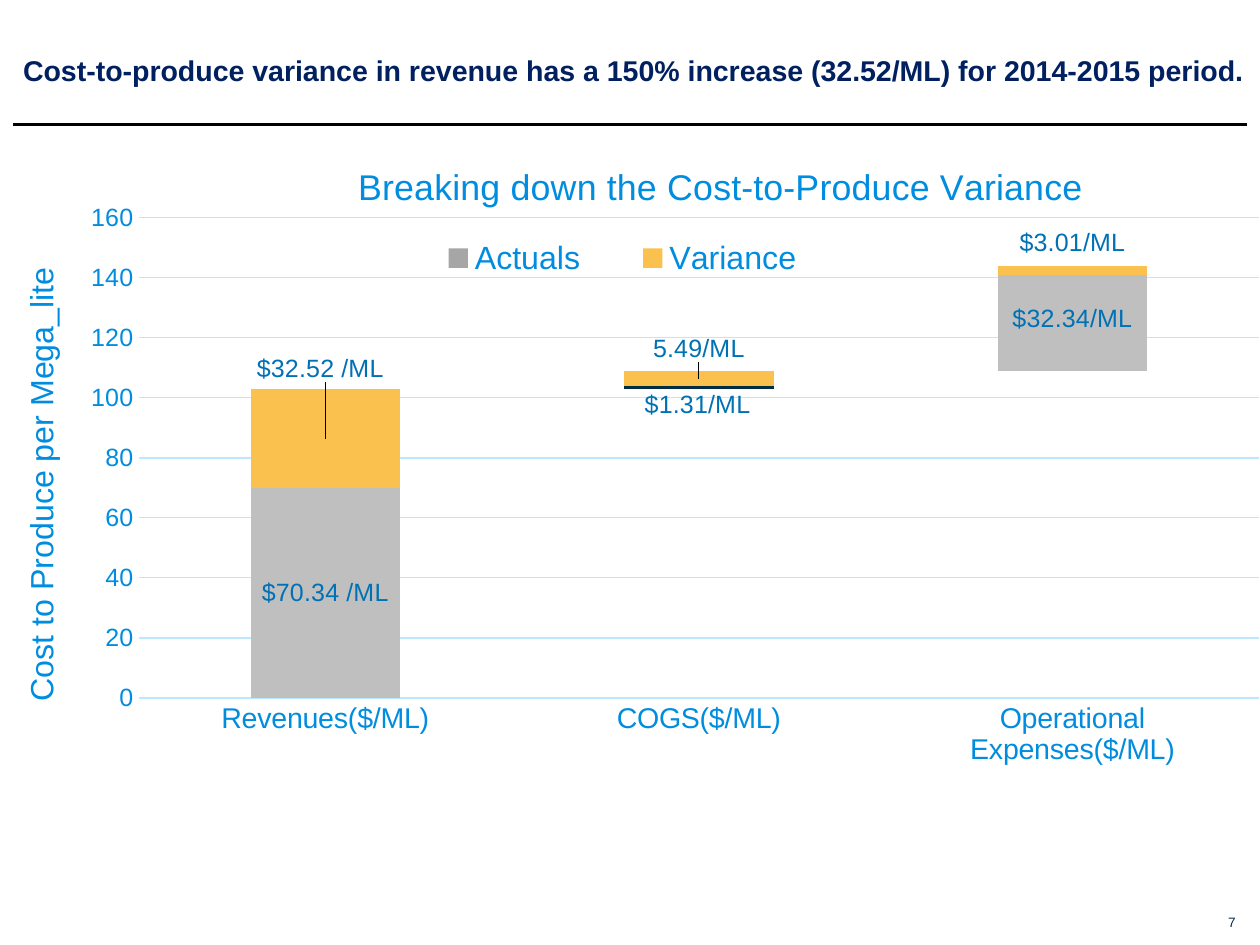
import dataclasses

import lxml.etree
import pptx
import pptx.chart.data
import pptx.dml.color
import pptx.enum.chart
import pptx.enum.shapes
import pptx.enum.text
import pptx.oxml.ns
import pptx.util

Inches = pptx.util.Inches
qn = pptx.oxml.ns.qn


@dataclasses.dataclass(frozen=True)
class Theme:
    font: str = "Arial"
    headline: str = "002060"
    ink: str = "002C46"
    axis: str = "008DE0"
    grid: str = "BDE6FF"
    label: str = "0071B4"
    rule: str = "000000"
    actual: str = "BFBFBF"
    legend_actual: str = "A6A6A6"
    variance: str = "FBC14E"
    hidden_bar: str = "FFFFFF"
    headline_size: float = 16
    chart_title_size: float = 20
    legend_size: float = 18
    category_size: float = 16
    label_size: float = 14
    base_size: float = 10
    page_size: float = 7.6


THEME = Theme()
HIDDEN = None

CATEGORIES = ["Revenues($/ML)", "COGS($/ML)", "Operational Expenses($/ML)"]

# name, values, colour, point fills,
# labels as {point: (text, x shift, y shift)} with shifts in percent of the chart
SERIES = [
    ("Actuals", (70, 70, 70), THEME.legend_actual,
     {0: THEME.actual, 1: HIDDEN, 2: HIDDEN}, {0: ("$70.34 /ML", 0, 0)}),
    ("Variance", (33, 33, 33), THEME.variance,
     {1: HIDDEN, 2: HIDDEN}, {0: ("$32.52 /ML", -0.4, -10.6)}),
    ("Series 3", (None, 1, 1), THEME.ink,
     {2: HIDDEN}, {1: ("$1.31/ML", -0.1, 2.6)}),
    ("Series 4", (None, 5, 5), THEME.variance,
     {2: THEME.hidden_bar}, {1: ("5.49/ML", 0, -4.5)}),
    ("Series 5", (None, None, 32), THEME.actual,
     {}, {2: ("$32.34/ML", 0, -0.6)}),
    ("Series 6", (None, None, 3), THEME.variance,
     {}, {2: ("$3.01/ML", 0, -4.1)}),
]


def rgb(color):
    return pptx.dml.color.RGBColor.from_string(color)


def style_font(font, size, color, bold=False):
    font.name = THEME.font
    font.size = pptx.util.Pt(size)
    font.bold = bold
    font.color.rgb = rgb(color)


def write(frame, text, size, color, bold=False, align=None):
    """Put formatted text in the first paragraph of a text frame."""
    paragraph = frame.paragraphs[0]
    paragraph.alignment = align
    run = paragraph.add_run()
    run.text = text
    style_font(run.font, size, color, bold)


def paint(fill, color):
    if color is HIDDEN:
        fill.background()
    else:
        fill.solid()
        fill.fore_color.rgb = rgb(color)


def place(element, after=None, modes=None, **percents):
    """Lay out a chart part, in percent of the chart, following the child after."""
    for old in element.findall(qn("c:layout")):
        element.remove(old)
    index = 0 if after is None else element.index(element.find(qn(after))) + 1
    layout = lxml.etree.Element(qn("c:layout"))
    manual = lxml.etree.SubElement(layout, qn("c:manualLayout"))
    fractions = {name: round(value / 100, 4) for name, value in percents.items()}
    for name, value in {**(modes or {}), **fractions}.items():
        lxml.etree.SubElement(manual, qn("c:" + name)).set("val", str(value))
    element.insert(index, layout)


FROM_EDGE = {"xMode": "edge", "yMode": "edge"}


class VarianceSlide:
    def __init__(self, presentation, theme):
        self.theme = theme
        self.slide = presentation.slides.add_slide(presentation.slide_layouts[6])

    def text(self, text, left, top, width, height, **style):
        box = self.slide.shapes.add_textbox(
            Inches(left), Inches(top), Inches(width), Inches(height))
        frame = box.text_frame
        frame.margin_left = frame.margin_right = 0
        frame.margin_top = frame.margin_bottom = 0
        frame.word_wrap = True
        write(frame, text, **style)

    def rule(self, left, right, y, width):
        line = self.slide.shapes.add_connector(
            pptx.enum.shapes.MSO_CONNECTOR.STRAIGHT,
            Inches(left), Inches(y), Inches(right), Inches(y))
        line.line.color.rgb = rgb(self.theme.rule)
        line.line.width = pptx.util.Pt(width)
        lxml.etree.SubElement(line._element.spPr, qn("a:effectLst"))

    def chart(self, left, top, width, height):
        table = pptx.chart.data.CategoryChartData()
        table.categories = CATEGORIES
        for name, values, *_ in SERIES:
            table.add_series(name, values)
        chart = self.slide.shapes.add_chart(
            pptx.enum.chart.XL_CHART_TYPE.COLUMN_STACKED,
            Inches(left), Inches(top), Inches(width), Inches(height), table).chart
        style_font(chart.font, self.theme.base_size, self.theme.ink)
        plot = chart.plots[0]
        plot.gap_width, plot.overlap = 150, 100
        plot.vary_by_categories = False
        place(chart._chartSpace.chart.plotArea,
              modes={"layoutTarget": "inner", **FROM_EDGE},
              x=10, y=11.4, w=90, h=72.8)
        for bars, (_, _, color, fills, labels) in zip(plot.series, SERIES):
            self.bars(bars, color, fills, labels)
        self.titles(chart)
        self.axes(chart)
        self.legend(chart)

    def bars(self, bars, color, fills, labels):
        paint(bars.format.fill, color)
        bars.invert_if_negative = False
        for index, fill in fills.items():
            paint(bars.points[index].format.fill, fill)
        for index, (text, dx, dy) in labels.items():
            label = bars.points[index].data_label
            write(label.text_frame, text, self.theme.label_size, self.theme.label)
            label.position = pptx.enum.chart.XL_LABEL_POSITION.CENTER
            if dx or dy:
                place(label._get_or_add_dLbl(), after="c:idx", x=dx, y=dy)

    def titles(self, chart):
        heading = chart.chart_title
        write(heading.text_frame, "Breaking down the Cost-to-Produce Variance",
              self.theme.chart_title_size, self.theme.axis)
        place(heading._element, after="c:tx", modes=FROM_EDGE, x=27.1, y=2.2)
        unit = chart.value_axis.axis_title
        write(unit.text_frame, "Cost to Produce per Mega_lite",
              self.theme.legend_size, self.theme.axis)
        unit.text_frame._txBody.bodyPr.set("rot", "-5400000")
        unit.text_frame._txBody.bodyPr.set("vert", "horz")
        place(unit._element, after="c:tx", modes=FROM_EDGE, x=0, y=18)

    def axes(self, chart):
        no_tick = pptx.enum.chart.XL_TICK_MARK.NONE
        categories, costs = chart.category_axis, chart.value_axis
        for axis, size in ((categories, self.theme.category_size),
                           (costs, self.theme.label_size)):
            axis.major_tick_mark = axis.minor_tick_mark = no_tick
            style_font(axis.tick_labels.font, size, self.theme.axis)
        costs.minimum_scale, costs.maximum_scale, costs.major_unit = 0, 160, 20
        costs.format.line.fill.background()
        for line in (categories.format.line, costs.major_gridlines.format.line):
            line.color.rgb = rgb(self.theme.grid)
            line.width = pptx.util.Pt(0.75)

    def legend(self, chart):
        chart.has_legend = True
        legend = chart.legend
        legend.position = pptx.enum.chart.XL_LEGEND_POSITION.BOTTOM
        legend.include_in_layout = False
        style_font(legend.font, self.theme.legend_size, self.theme.axis)
        place(legend._element, after="c:legendPos", modes=FROM_EDGE,
              x=30.7, y=13.5, w=36.3, h=8)
        # Only the first two series are named in the legend
        for position, index in enumerate(range(2, len(SERIES)), start=1):
            entry = lxml.etree.Element(qn("c:legendEntry"))
            for tag, value in (("c:idx", index), ("c:delete", 1)):
                lxml.etree.SubElement(entry, qn(tag)).set("val", str(value))
            legend._element.insert(position, entry)


def main():
    presentation = pptx.Presentation()
    presentation.slide_width = Inches(9.8)
    presentation.slide_height = Inches(7.35)
    page = VarianceSlide(presentation, THEME)

    # Headline and rule
    page.text("Cost-to-produce variance in revenue has a 150% increase "
              "(32.52/ML) for 2014-2015 period.", 0.18, 0.41, 9.56, 0.27,
              size=THEME.headline_size, color=THEME.headline, bold=True)
    page.rule(0.1, 9.7, 0.97, 2)

    # Cost breakdown
    page.chart(0.11, 1.11, 9.69, 5.13)

    # Page number
    page.text("7", 9.48, 7.11, 0.13, 0.13, size=THEME.page_size, color=THEME.ink,
              align=pptx.enum.text.PP_ALIGN.RIGHT)
    presentation.save("out.pptx")


if __name__ == "__main__":
    main()
